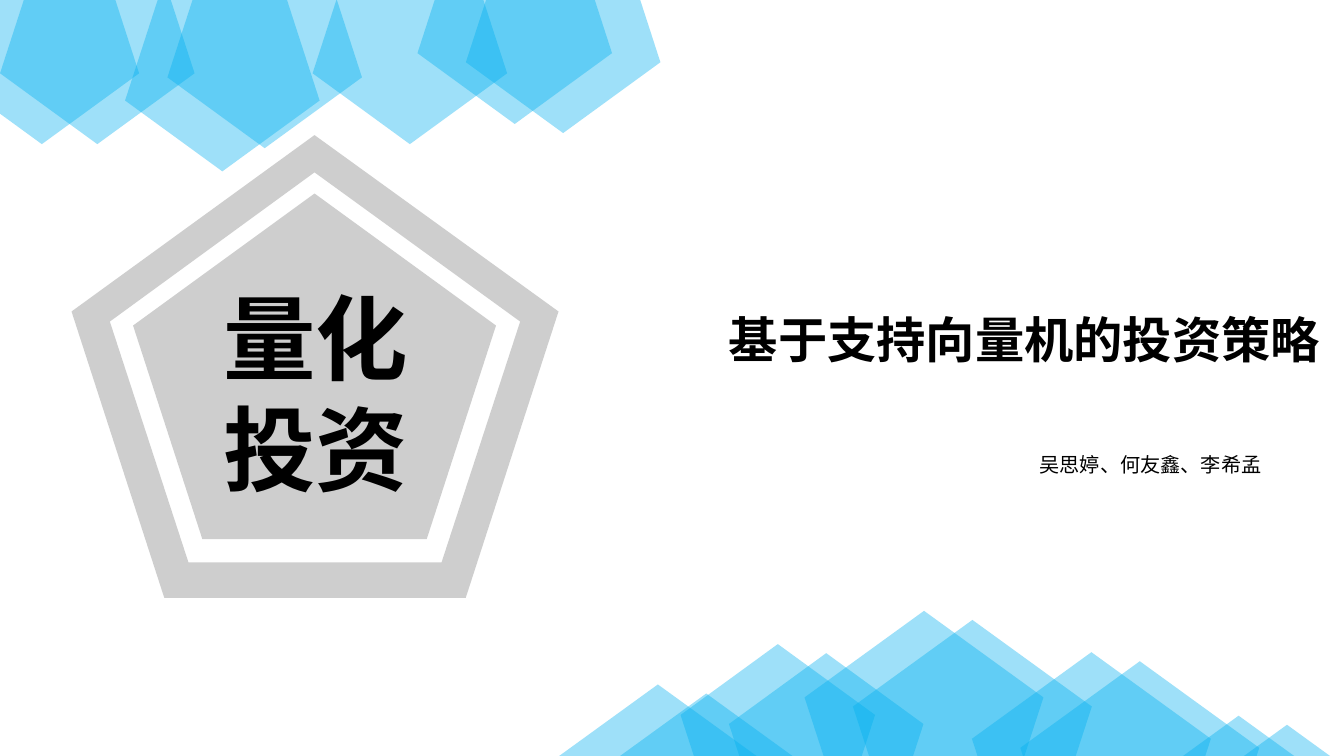
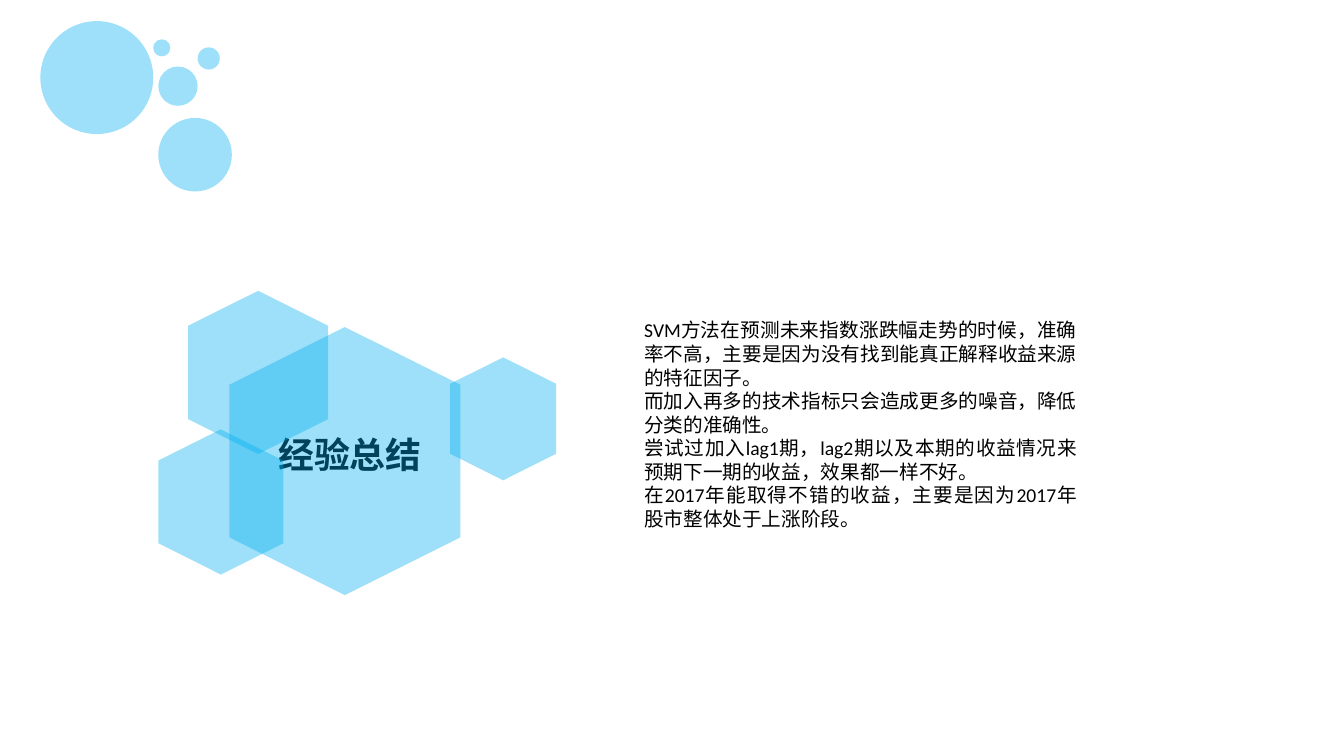
from lxml import etree
from pptx import Presentation
from pptx.dml.color import RGBColor
from pptx.enum.shapes import MSO_SHAPE as Shape
from pptx.enum.text import PP_ALIGN as Align
from pptx.oxml.ns import qn
from pptx.util import Inches, Pt

# Shared look
BLUE, GREY, BLACK = "00B0F0", "808080", "000000"
OPACITY = 38
LATIN, CJK = "Calibri", "Noto Sans CJK SC"
TIGHT, NORMAL = (0.08, 0.04), (0.1, 0.05)

# Cover content
COVER_MARK = "量化投资"
COVER_TITLE = "基于支持向量机的投资策略"
AUTHORS = "吴思婷、何友鑫、李希孟"
SMALL_PENTAGON, LARGE_PENTAGON = (1.93, 1.84), (2.37, 2.25)
HANGING = [(-0.55, -0.41), (0, -0.41), (1.24, -0.14), (1.66, -0.37),
           (4.62, -0.52), (3.1, -0.41), (4.14, -0.61)]
# Each rising pentagon has a twin up and to the left
RISING = [(6.75, 6.39, SMALL_PENTAGON), (7.98, 6.06, LARGE_PENTAGON),
          (9.64, 6.47, LARGE_PENTAGON), (11.1, 7.1, LARGE_PENTAGON),
          (5.34, 6.79, LARGE_PENTAGON)]
TWIN_SHIFT = (0.48, 0.09)
# Corners of the emblem frame, in hundredths of an inch
FRAME_INNER = [(312, 171), (109, 319), (187, 558), (438, 558), (516, 319)]
FRAME_OUTER = [(312, 134), (554, 309), (462, 593), (163, 593), (71, 309)]

# Summary content
SUMMARY_TITLE = "经验总结"
LESSONS = [
    "SVM方法在预测未来指数涨跌幅走势的时候，准确率不高，主要是因为没有找到能真正解释收益来源的特征因子。",
    "而加入再多的技术指标只会造成更多的噪音，降低分类的准确性。",
    "尝试过加入lag1期，lag2期以及本期的收益情况来预期下一期的收益，效果都一样不好。",
    "在2017年能取得不错的收益，主要是因为2017年股市整体处于上涨阶段。",
]
BUBBLES = [(0.4, 0.21, 1.12), (1.52, 0.39, 0.17), (1.96, 0.47, 0.22),
           (1.57, 0.66, 0.39), (1.57, 1.17, 0.73)]
SIDE_HEXAGONS = [(1.75, 3, 1.62, 1.39), (1.47, 4.36, 1.44, 1.24),
                 (4.38, 3.63, 1.22, 1.05)]
MAIN_HEXAGON = (2.09, 3.43, 2.66, 2.29)


def rgb(color):
    return RGBColor.from_string(color)


def tint(shape, color):
    """Give a shape a see-through fill without line or shadow."""
    shape.shadow.inherit = False
    shape.line.fill.background()
    shape.fill.solid()
    shape.fill.fore_color.rgb = rgb(color)
    fill_color = shape.fill._xPr.find(qn("a:solidFill"))[0]
    etree.SubElement(fill_color, qn("a:alpha"), val=str(OPACITY * 1000))


def add_tinted(page, kind, left, top, width, height, color=BLUE, turn=0):
    shape = page.shapes.add_shape(
        kind, Inches(left), Inches(top), Inches(width), Inches(height))
    shape.rotation = turn
    tint(shape, color)


def add_text(page, place, lines, size, align, font=CJK, bold=False,
             small_caps=False, margins=NORMAL):
    box = page.shapes.add_textbox(*(Inches(n) for n in place))
    frame = box.text_frame
    frame.word_wrap = True
    frame.margin_left = frame.margin_right = Inches(margins[0])
    frame.margin_top = frame.margin_bottom = Inches(margins[1])
    for index, line in enumerate(lines):
        para = frame.add_paragraph() if index else frame.paragraphs[0]
        para.alignment = align
        span = para.add_run()
        span.text = line
        span.font.size = Pt(size)
        span.font.bold = bold
        span.font.name = font
        span.font.color.rgb = rgb(BLACK)
        props = span.font._element
        etree.SubElement(props, qn("a:ea"), typeface=CJK)
        if small_caps:
            props.set("cap", "small")


def add_frame(page):
    builder = page.shapes.build_freeform(*FRAME_INNER[0], scale=Inches(0.01))
    builder.add_line_segments(FRAME_INNER[1:], close=True)
    builder.move_to(*FRAME_OUTER[0])
    builder.add_line_segments(FRAME_OUTER[1:], close=True)
    tint(builder.convert_to_shape(), GREY)


def build_cover(page):
    # Pentagons hanging from the top edge
    for left, top in HANGING:
        add_tinted(page, Shape.REGULAR_PENTAGON, left, top, *SMALL_PENTAGON,
                   turn=180)
    # Emblem
    add_tinted(page, Shape.REGULAR_PENTAGON, 1.32, 1.92, 3.6, 3.43, GREY)
    add_frame(page)
    add_text(page, (1.99, 2.74, 2.28, 2.32), [COVER_MARK], 66, Align.CENTER,
             font=LATIN, bold=True)
    # Pentagons rising from the bottom edge
    for left, top, size in RISING:
        for step in (1, 0):
            add_tinted(page, Shape.REGULAR_PENTAGON,
                       left + step * TWIN_SHIFT[0],
                       top + step * TWIN_SHIFT[1], *size)
    # Title and authors
    add_text(page, (5.61, 2.91, 7.56, 0.81), [COVER_TITLE], 44, Align.RIGHT,
             bold=True, small_caps=True, margins=TIGHT)
    add_text(page, (9.65, 4.4, 2.94, 0.37), [AUTHORS], 18, Align.RIGHT,
             small_caps=True, margins=TIGHT)


def build_summary(page):
    # Bubbles in the corner
    for left, top, diameter in BUBBLES:
        add_tinted(page, Shape.OVAL, left, top, diameter, diameter)
    # Title inside the hexagon cluster
    add_text(page, (1.86, 4.16, 3.22, 0.61), [SUMMARY_TITLE], 32,
             Align.CENTER, bold=True, small_caps=True, margins=TIGHT)
    for place in SIDE_HEXAGONS:
        add_tinted(page, Shape.HEXAGON, *place, turn=90)
    # Lessons, then the main hexagon over the title
    add_text(page, (6.29, 3.11, 4.49, 2.46), LESSONS, 14, Align.JUSTIFY,
             font=LATIN)
    add_tinted(page, Shape.HEXAGON, *MAIN_HEXAGON, turn=90)


def main():
    deck = Presentation()
    deck.slide_width, deck.slide_height = Inches(13.33), Inches(7.5)
    for build in (build_cover, build_summary):
        build(deck.slides.add_slide(deck.slide_layouts[6]))
    deck.save("out.pptx")


if __name__ == "__main__":
    main()
